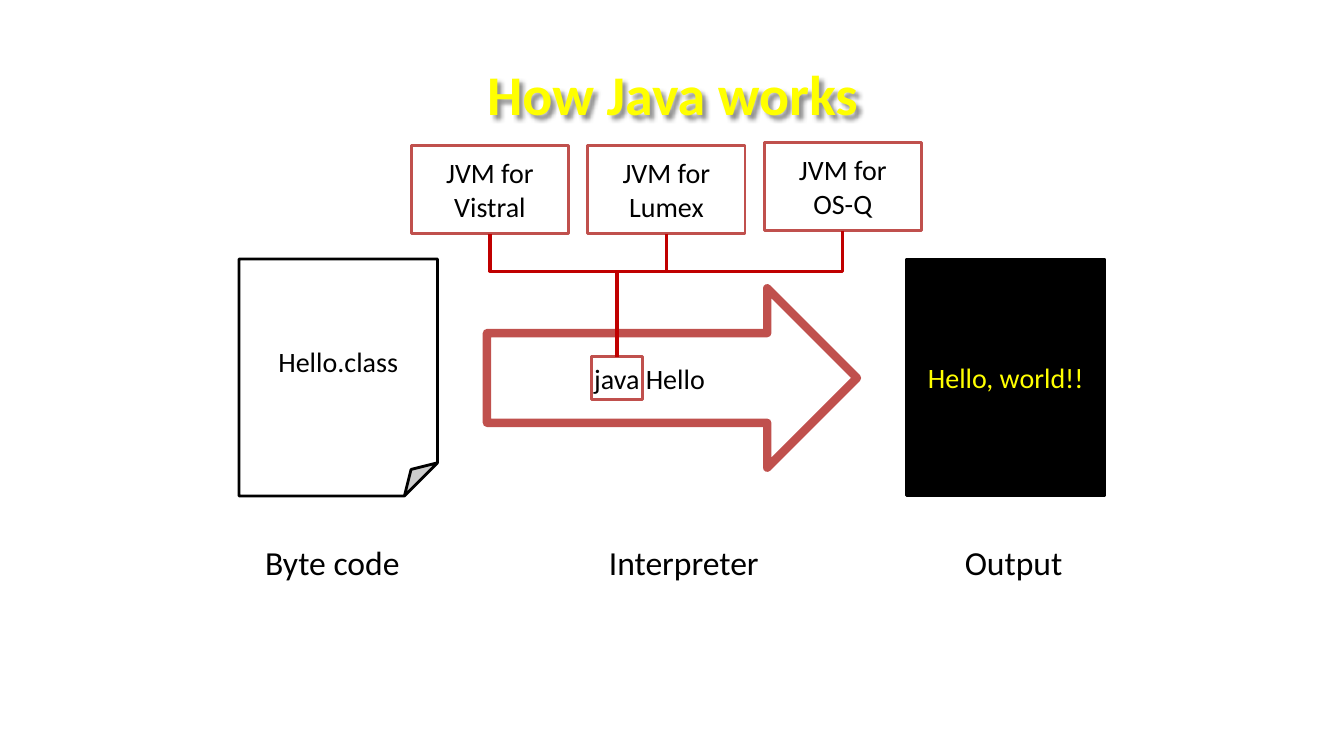
from dataclasses import dataclass

from lxml.etree import SubElement
from pptx import Presentation
from pptx.dml.color import RGBColor
from pptx.enum.shapes import MSO_CONNECTOR, MSO_SHAPE
from pptx.enum.text import MSO_ANCHOR, PP_ALIGN
from pptx.oxml.ns import qn
from pptx.util import Inches, Pt


@dataclass(frozen=True)
class Theme:
    font: str = "Calibri"
    black: str = "000000"
    white: str = "FFFFFF"
    yellow: str = "FFFF00"
    brick: str = "C0504D"
    red: str = "C00000"
    title_size: float = 40
    caption_size: float = 24
    body_size: float = 20
    thin: float = 2
    medium: float = 2.25
    thick: float = 6


class Diagram:
    def __init__(self, slide, theme):
        self.shapes = slide.shapes
        self.theme = theme

    def set_text(self, shape, text, size, color, align=PP_ALIGN.CENTER, bold=False):
        shape.text_frame.text = text
        for paragraph in shape.text_frame.paragraphs:
            paragraph.alignment = align
            font = paragraph.font
            font.name, font.size, font.bold = self.theme.font, Pt(size), bold
            font.color.rgb = RGBColor.from_string(color)

    def title(self, box, text):
        title = self.shapes.add_textbox(*map(Inches, box))
        title.text_frame.word_wrap = True
        title.text_frame.vertical_anchor = MSO_ANCHOR.MIDDLE
        self.set_text(title, text, self.theme.title_size, self.theme.yellow, bold=True)
        # Soft shadow cast by the letters
        effects = SubElement(title._element.spPr, qn("a:effectLst"))
        shadow = SubElement(effects, qn("a:outerShdw"), blurRad="38100",
                            dist="38100", dir="2700000", algn="tl")
        tint = SubElement(shadow, qn("a:srgbClr"), val=self.theme.black)
        SubElement(tint, qn("a:alpha"), val="43000")

    def caption(self, box, text):
        caption = self.shapes.add_textbox(*map(Inches, box))
        caption.text_frame.word_wrap = False
        self.set_text(caption, text, self.theme.caption_size, self.theme.black,
                      align=PP_ALIGN.LEFT)

    def block(self, kind, box, line, width, text="", fill=None, color=None):
        block = self.shapes.add_shape(kind, *map(Inches, box))
        block.shadow.inherit = False
        if fill:
            block.fill.solid()
            block.fill.fore_color.rgb = RGBColor.from_string(fill)
        else:
            block.fill.background()
        block.line.color.rgb = RGBColor.from_string(line)
        block.line.width = Pt(width)
        block.text_frame.word_wrap = True
        block.text_frame.vertical_anchor = MSO_ANCHOR.MIDDLE
        if text:
            self.set_text(block, text, self.theme.body_size, color or self.theme.black)
        return block

    def elbow_up(self, lower, upper, bend):
        """Join the top of lower to the bottom of upper, turning at height bend."""
        start_x, end_x = (s.left + s.width // 2 for s in (lower, upper))
        end_y = upper.top + upper.height
        rise, run = lower.top - end_y, abs(end_x - start_x)
        elbow = self.shapes.add_connector(MSO_CONNECTOR.ELBOW, 0, 0, rise, run)
        elbow.begin_connect(lower, 0)
        elbow.end_connect(upper, 2)
        # The frame lies on its side and is turned a quarter to the left
        elbow.width, elbow.height = rise, run
        elbow.left = (start_x + end_x - rise) // 2
        elbow.top = (lower.top + end_y - run) // 2
        properties = elbow._element.spPr
        frame = properties.find(qn("a:xfrm"))
        frame.set("rot", "16200000")
        frame.set("flipH", "0")
        frame.set("flipV", "1" if end_x < start_x else "0")
        share = round((lower.top - Inches(bend)) / rise * 100000)
        guides = properties.find(qn("a:prstGeom")).find(qn("a:avLst"))
        SubElement(guides, qn("a:gd"), name="adj1", fmla=f"val {share}")
        elbow.line.color.rgb = RGBColor.from_string(self.theme.red)
        elbow.line.width = Pt(self.theme.medium)
        SubElement(properties, qn("a:effectLst"))


def main():
    deck = Presentation()
    deck.slide_width, deck.slide_height = Inches(13.33), Inches(7.5)
    theme = Theme()
    diagram = Diagram(deck.slides.add_slide(deck.slide_layouts[6]), theme)

    diagram.title((0.67, 0.3, 12, 1.25), "How Java works")

    # Byte code, interpreter and output
    diagram.block(MSO_SHAPE.FOLDED_CORNER, (2.37, 2.57, 1.97, 2.35), theme.black,
                  theme.thin, "Hello.class", theme.white)
    diagram.block(MSO_SHAPE.RIGHT_ARROW, (4.83, 2.86, 3.67, 1.78), theme.brick,
                  theme.thick, "java Hello", theme.white)
    diagram.block(MSO_SHAPE.RECTANGLE, (8.99, 2.57, 1.97, 2.35), theme.black,
                  theme.thin, "Hello, world!!", theme.black, theme.yellow)

    # Captions under the three stages
    for left, width, text in ((2.53, 1.55, "Byte code"),
                              (5.94, 1.71, "Interpreter"),
                              (9.47, 1.18, "Output")):
        diagram.caption((left, 5.33, width, 0.5), text)

    # Virtual machines, each joined to the java command
    command = diagram.block(MSO_SHAPE.RECTANGLE, (5.87, 3.54, 0.5, 0.42),
                            theme.brick, theme.medium)
    machines = (("JVM for Vistral", 1.44), ("JVM for Lumex", 1.44),
                ("JVM for\nOS-Q", 1.41))
    for column, (text, top) in enumerate(machines):
        machine = diagram.block(MSO_SHAPE.RECTANGLE,
                                (4.08 + 1.75 * column, top, 1.56, 0.88),
                                theme.brick, theme.thin, text, theme.white)
        diagram.elbow_up(command, machine, bend=2.69)

    deck.save("out.pptx")


if __name__ == "__main__":
    main()
